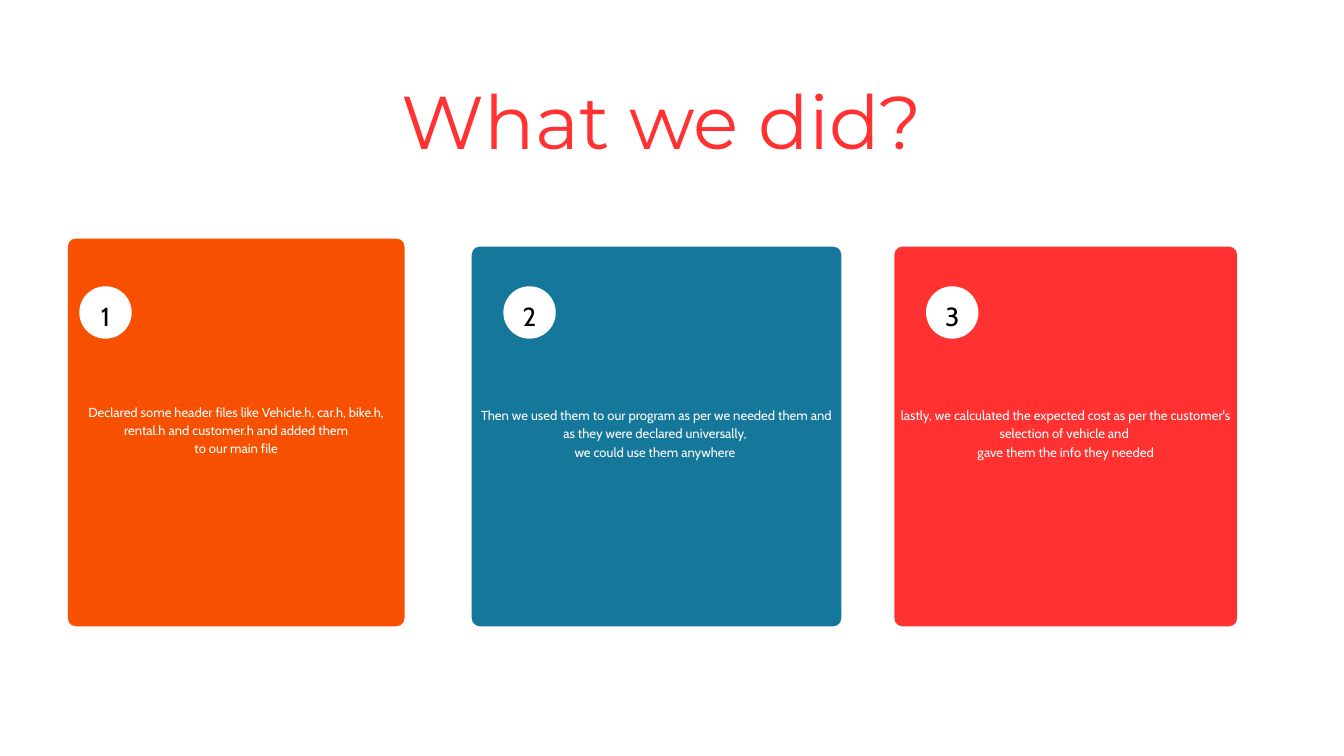
from pptx import Presentation
from pptx import util as u
from pptx.dml.color import RGBColor
from pptx.enum import shapes, text

PX = 9144  # EMU per px, 100 px to the inch
COLORS = {"orange": "F85001", "blue": "15789A", "red": "FF3131",
          "white": "FFFFFF", "black": "000000"}

TITLE = "What we did? "
# Steps: colour, card left, top, width, text top, badge left, paragraphs
STEPS = [
    ("orange", 101, 355, 501, 345, 118,
     ["Declared some header files like Vehicle.h, car.h, bike.h, "
      "rental.h and customer.h and added them",
      " to our main file "]),
    ("blue", 702, 367, 550, 355, 749,
     ["Then we used them to our program as per we needed them and "
      "as they were declared universally, ",
      "we could use them anywhere "]),
    ("red", 1331, 367, 510, 355, 1378,
     ["lastly, we calculated the expected cost as per the customer's "
      "selection of vehicle and ",
      "gave them the info they needed"]),
]
CARD_BOTTOM = 932
CORNER = 12
BADGE_TOP, BADGE_SIZE = 426, 78
NUMBER_TOP, NUMBER_HEIGHT = 432, 54

presentation = Presentation()
presentation.slide_width = u.Emu(2000 * PX)
presentation.slide_height = u.Emu(1125 * PX)
slide = presentation.slides.add_slide(presentation.slide_layouts[6])


def emu(*lengths):
    return [u.Emu(length * PX) for length in lengths]


def add_block(kind, box, color):
    shape = slide.shapes.add_shape(kind, *emu(*box))
    shape.shadow.inherit = False
    shape.fill.solid()
    shape.fill.fore_color.rgb = RGBColor.from_string(COLORS[color])
    shape.line.fill.background()
    return shape


def add_text(paragraphs, box, *, font, size, color, spacing, inset=0,
             anchor=text.MSO_ANCHOR.TOP):
    frame = slide.shapes.add_textbox(*emu(*box)).text_frame
    frame.word_wrap = True
    frame.vertical_anchor = anchor
    frame.margin_left = frame.margin_right = u.Emu(inset * PX)
    frame.margin_top = frame.margin_bottom = u.Emu(inset * PX)
    for index, words in enumerate(paragraphs):
        paragraph = frame.add_paragraph() if index else frame.paragraphs[0]
        paragraph.alignment = text.PP_ALIGN.CENTER
        paragraph.line_spacing = u.Pt(spacing)
        run = paragraph.add_run()
        run.text = words
        run.font.name = font
        run.font.size = u.Pt(size)
        run.font.color.rgb = RGBColor.from_string(COLORS[color])


# Cards with their text and numbered badges
for number, (color, left, top, width, text_top, badge_left, lines) in enumerate(STEPS, 1):
    height = CARD_BOTTOM - top
    card = add_block(shapes.MSO_SHAPE.ROUNDED_RECTANGLE,
                     (left, top, width, height), color)
    card.adjustments[0] = CORNER / min(width, height)
    add_text(lines, (left, text_top, width, CARD_BOTTOM - text_top),
             font="Cabin", size=14, color="white", spacing=19.6, inset=6,
             anchor=text.MSO_ANCHOR.MIDDLE)
    add_block(shapes.MSO_SHAPE.OVAL,
              (badge_left, BADGE_TOP, BADGE_SIZE, BADGE_SIZE), "white")
    add_text([str(number)], (badge_left, NUMBER_TOP, BADGE_SIZE, NUMBER_HEIGHT),
             font="Cabin", size=28, color="black", spacing=44)

# Title
add_text([TITLE], (230, 112, 1540, 133),
         font="Montserrat", size=80, color="red", spacing=96)

presentation.save("out.pptx")
